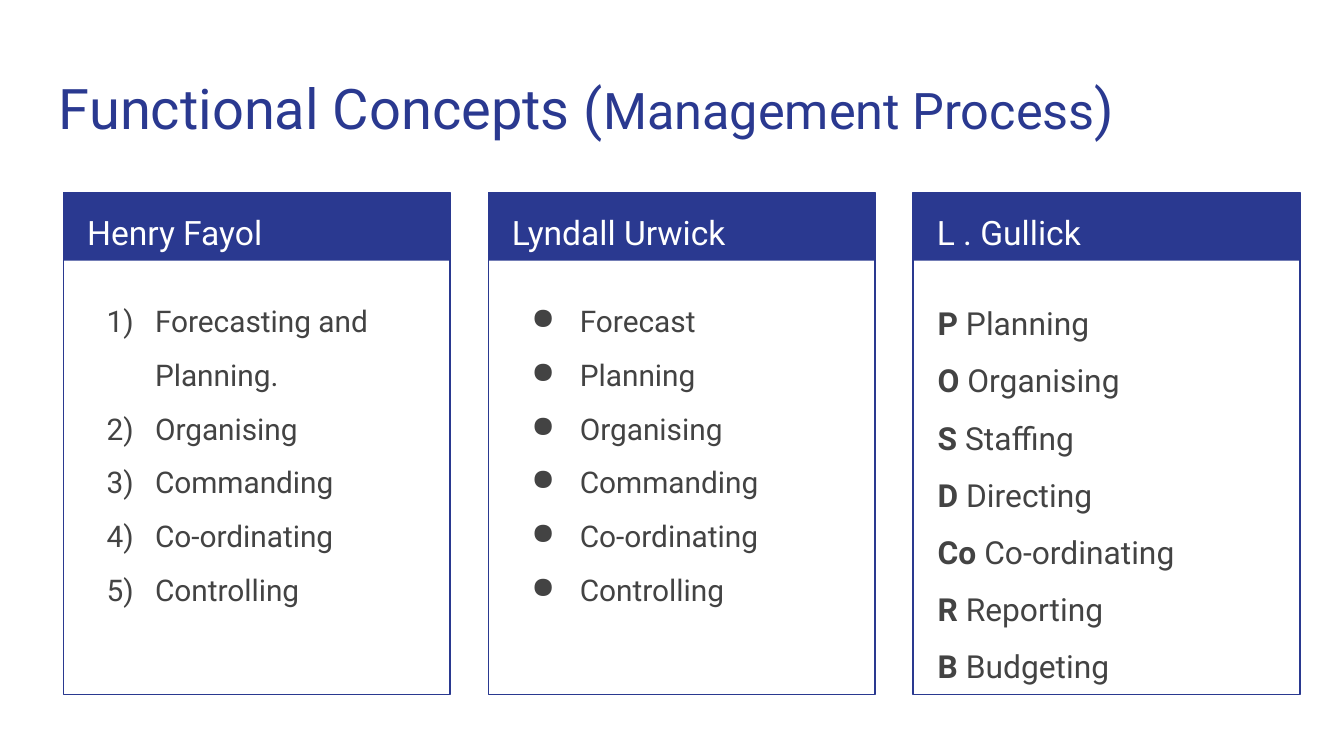
from pptx import Presentation
from pptx.dml.color import RGBColor
from pptx.enum.shapes import MSO_SHAPE as Shape
from pptx.enum.text import MSO_ANCHOR as Anchor
from pptx.oxml.xmlchemy import OxmlElement as Node
from pptx.util import Pt

NAVY = RGBColor(0x2A, 0x39, 0x90)
GREY = RGBColor(0x43, 0x43, 0x43)
WHITE = RGBColor(0xFF, 0xFF, 0xFF)
FONT = "Roboto"

FAYOL = ["Forecasting and Planning.", "Organising", "Commanding",
         "Co-ordinating", "Controlling"]
URWICK = ["Forecast", "Planning", "Organising", "Commanding",
          "Co-ordinating", "Controlling"]
GULLICK = [("P", "Planning"), ("O", "Organising"), ("S", "Staffing"),
           ("D", "Directing"), ("Co", "Co-ordinating"),
           ("R", "Reporting"), ("B", "Budgeting")]


def add_mark(para, mark):
    """Give a paragraph a hanging bullet or an automatic number."""
    props = para._p.get_or_add_pPr()
    props.set("marL", str(Pt(36)))
    props.set("indent", str(Pt(-26)))
    if mark == "1)":
        bullet = Node("a:buAutoNum")
        bullet.set("type", "arabicParenR")
    else:
        bullet = Node("a:buChar")
        bullet.set("char", mark)
    props.append(bullet)


def add_text(slide, box, paras, size=16, color=GREY, space=1.0, mark=None):
    """Write paragraphs, each a list of (text, bold, size or None) runs."""
    frame = slide.shapes.add_textbox(*map(Pt, box)).text_frame
    frame.word_wrap = True
    frame.vertical_anchor = Anchor.TOP
    frame.margin_left = frame.margin_right = Pt(7.2)
    frame.margin_top = frame.margin_bottom = Pt(7.2)
    for i, runs in enumerate(paras):
        para = frame.paragraphs[0] if i == 0 else frame.add_paragraph()
        para.line_spacing = space
        if mark:
            add_mark(para, mark)
        for text, bold, own in runs:
            run = para.add_run()
            run.text = text
            run.font.name = FONT
            run.font.size = Pt(own or size)
            run.font.bold = bold
            run.font.color.rgb = color


def add_rect(slide, box, fill=None, line=None):
    """Draw a rectangle with a fill, a line or both."""
    rect = slide.shapes.add_shape(Shape.RECTANGLE, *map(Pt, box))
    rect.shadow.inherit = False
    if fill is None:
        rect.fill.background()
    else:
        rect.fill.solid()
        rect.fill.fore_color.rgb = fill
    if line is None:
        rect.line.fill.background()
    else:
        rect.line.color.rgb = line
        rect.line.width = Pt(0.75)


def add_title(slide, box):
    """Write the slide title with its smaller inner phrase."""
    runs = [("Functional Concepts (", False, None),
            ("Management Process", False, 27), (")", False, None)]
    add_text(slide, box, [runs], size=30, color=NAVY)


def add_card(slide, box, head, paras, **style):
    """Build a framed card with a navy header and a list below."""
    left, top, width, height = box
    add_rect(slide, (left, top, width, 36.7), fill=NAVY)
    add_rect(slide, box, line=NAVY)
    add_text(slide, (left + 5.6, top, width - 11, 36), [[(head, False, None)]],
             size=18, color=WHITE, space=1.15)
    add_text(slide, (left + 6, top + 42.5, width - 12, height - 49), paras,
             space=1.5, **style)


def main():
    """Build and save the slide."""
    deck = Presentation()
    deck.slide_width, deck.slide_height = Pt(720), Pt(405)
    slide = deck.slides.add_slide(deck.slide_layouts[6])
    add_title(slide, (24.5, 32.4, 671, 47.5))
    plain = [[[(text, False, None)] for text in items]
             for items in (FAYOL, URWICK)]
    pairs = [[(key, True, None), (" " + text, False, None)]
             for key, text in GULLICK]
    cards = [("Henry Fayol", plain[0], dict(mark="1)")),
             ("Lyndall Urwick", plain[1], dict(mark="●")),
             ("L . Gullick", pairs, dict(size=17))]
    for i, (head, paras, style) in enumerate(cards):
        box = (34 + 227.6 * i, 103, 207.2, 269.2)
        add_card(slide, box, head, paras, **style)
    deck.save("out.pptx")


if __name__ == "__main__":
    main()
